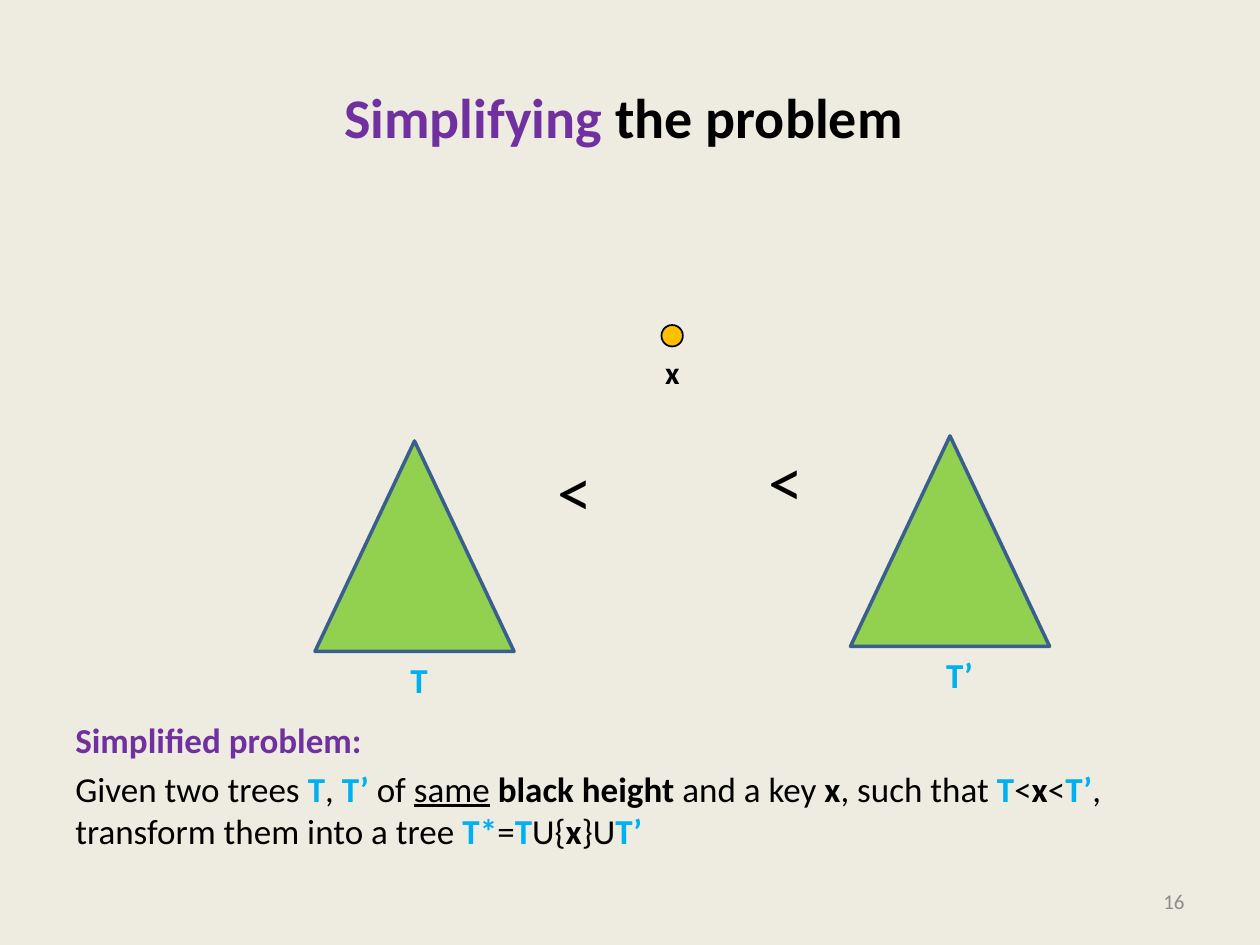
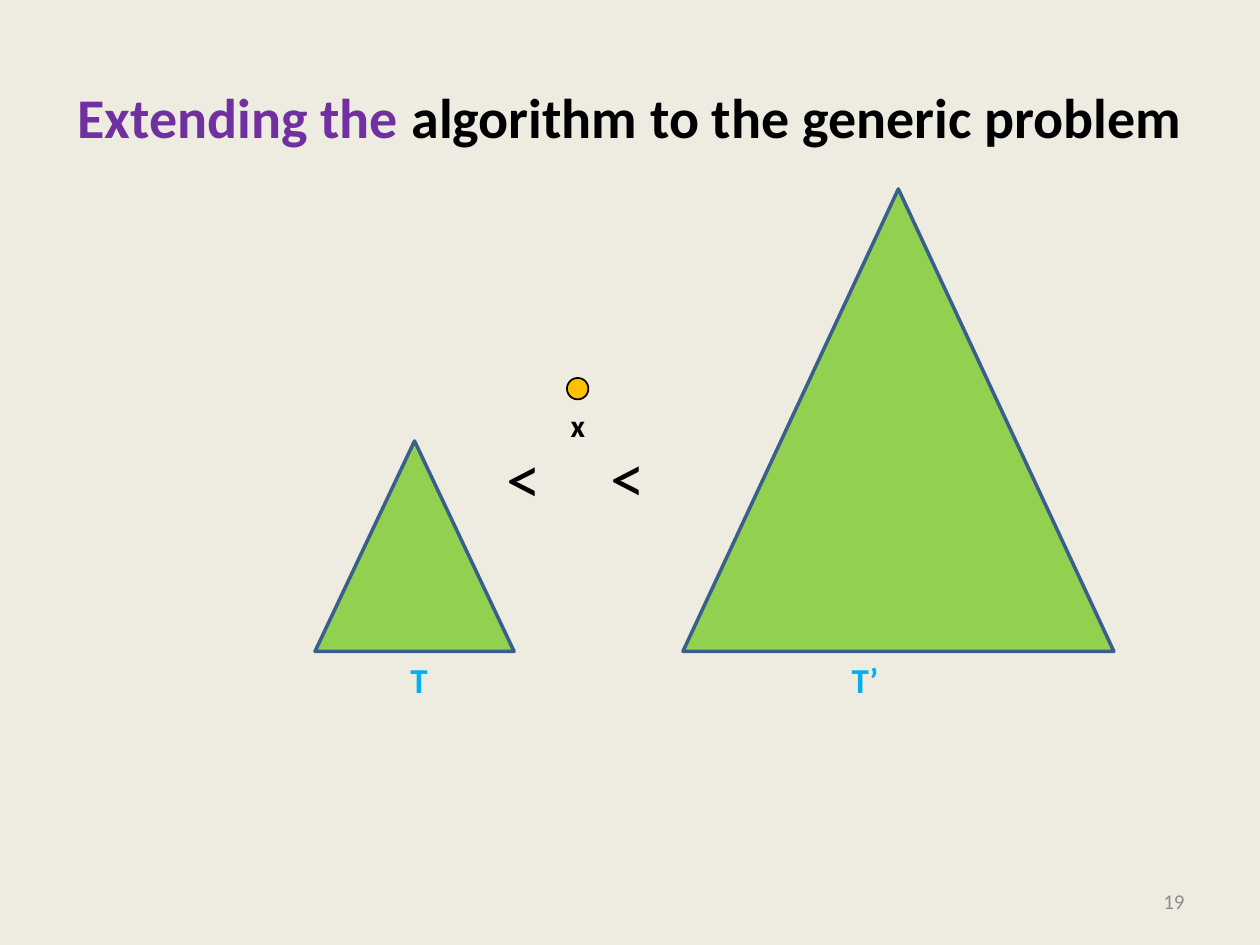
from dataclasses import dataclass

from pptx import Presentation
from pptx import util as u
from pptx.dml.color import RGBColor
from pptx.enum import shapes, text


@dataclass(frozen=True)
class Theme:
    font: str = "Calibri"
    background: str = "EEECE1"
    ink: str = "000000"
    accent: str = "7030A0"
    tree_name: str = "00B0F0"
    tree_fill: str = "92D050"
    tree_edge: str = "3A5F8C"
    key_fill: str = "FFC000"
    page_number: str = "8C8C8C"
    title_size: int = 32
    body_size: int = 20
    key_size: int = 18
    sign_size: int = 40
    page_size: int = 12


THEME = Theme()
TITLE_BOX = (0.5, 0.3, 9, 1.25)
STATEMENT_BOX = (0.5, 5.65, 9, 1.43)
PAGE_BOX = (7.17, 6.95, 2.33, 0.4)
SMALL_TREE = (1.58, 1.67)
LARGE_TREE = (3.42, 3.67)
KEY_DIAMETER = 0.17

ACCENT = {"color": THEME.accent, "bold": True}
NAME = {"color": THEME.tree_name, "bold": True}
BOLD = {"bold": True}


def rgb(value):
    return RGBColor.from_string(value)


def add_text(parts, box, paragraphs, *, size, color=THEME.ink, bold=False,
             align=text.PP_ALIGN.LEFT, anchor=text.MSO_ANCHOR.TOP,
             wrap=True, space_before=0):
    """Write paragraphs, each a string or a list of strings and (string, format) runs."""
    frame = parts.add_textbox(*map(u.Inches, box)).text_frame
    frame.word_wrap = wrap
    frame.vertical_anchor = anchor
    for index, content in enumerate(paragraphs):
        paragraph = frame.paragraphs[0] if index == 0 else frame.add_paragraph()
        paragraph.alignment = align
        if index:
            paragraph.space_before = u.Pt(space_before)
        for piece in [content] if isinstance(content, str) else content:
            words, style = (piece, {}) if isinstance(piece, str) else piece
            run = paragraph.add_run()
            run.text = words
            run.font.name = THEME.font
            run.font.size = u.Pt(size)
            run.font.bold = style.get("bold", bold)
            run.font.underline = style.get("underline", False)
            run.font.color.rgb = rgb(style.get("color", color))


def add_filled(parts, kind, box, fill, edge, edge_width):
    shape = parts.add_shape(kind, *map(u.Inches, box))
    shape.shadow.inherit = False
    shape.fill.solid()
    shape.fill.fore_color.rgb = rgb(fill)
    shape.line.color.rgb = rgb(edge)
    shape.line.width = u.Pt(edge_width)


def add_tree(slide, box, name, label_left, label_width):
    """Draw a tree with its name below; label_left counts from the tree's left."""
    left, top, width, height = box
    parts = slide.shapes.add_group_shape().shapes
    add_filled(parts, shapes.MSO_SHAPE.ISOSCELES_TRIANGLE, box,
               THEME.tree_fill, THEME.tree_edge, 2)
    add_text(parts, (left + label_left, top + height + 0.01, label_width, 0.44),
             [name], size=THEME.body_size, color=THEME.tree_name, bold=True,
             wrap=False)


def add_key(slide, left, top):
    parts = slide.shapes.add_group_shape().shapes
    add_filled(parts, shapes.MSO_SHAPE.OVAL,
               (left, top, KEY_DIAMETER, KEY_DIAMETER),
               THEME.key_fill, THEME.ink, 1)
    add_text(parts, (left - 0.07, top + KEY_DIAMETER, 0.32, 0.4), ["x"],
             size=THEME.key_size, bold=True, wrap=False)


def add_less_than_signs(slide, positions):
    for left, top in positions:
        add_text(slide.shapes, (left, top, 0.48, 0.77), ["<"],
                 size=THEME.sign_size, wrap=False)


def add_framed_slide(deck, title, number):
    """Start a slide with the shared background, title and page number."""
    slide = deck.slides.add_slide(deck.slide_layouts[6])
    slide.background.fill.solid()
    slide.background.fill.fore_color.rgb = rgb(THEME.background)
    add_text(slide.shapes, TITLE_BOX, [title], size=THEME.title_size, bold=True,
             align=text.PP_ALIGN.CENTER, anchor=text.MSO_ANCHOR.MIDDLE)
    add_text(slide.shapes, PAGE_BOX, [str(number)], size=THEME.page_size,
             color=THEME.page_number, align=text.PP_ALIGN.RIGHT,
             anchor=text.MSO_ANCHOR.MIDDLE)
    return slide


def add_statement(slide, box):
    add_text(slide.shapes, box, [
        [("Simplified problem:", ACCENT)],
        ["Given two trees ", ("T", NAME), ", ", ("T’", NAME), " of ",
         ("same", {"underline": True}), " ", ("black height ", BOLD),
         "and a key ", ("x", BOLD), ", such that ", ("T", NAME), "<",
         ("x", BOLD), "<", ("T’", NAME), ", transform them into a tree ",
         ("T*", NAME), "=", ("T", NAME), "U{", ("x", BOLD), "}U", ("T’", NAME)],
    ], size=THEME.body_size, space_before=4)


def add_simplified_problem(deck):
    slide = add_framed_slide(deck, [("Simplifying", ACCENT), " the problem "], 16)
    add_statement(slide, STATEMENT_BOX)
    add_tree(slide, (2.5, 3.5, *SMALL_TREE), "T", 0.66, 0.34)
    add_tree(slide, (6.75, 3.46, *SMALL_TREE), "T’", 0.66, 0.42)
    add_key(slide, 5.25, 2.58)
    add_less_than_signs(slide, [(4.33, 3.5), (6, 3.42)])


def add_generic_problem(deck):
    slide = add_framed_slide(
        deck, [("Extending the ", ACCENT), "algorithm to the generic problem"], 19)
    add_tree(slide, (5.42, 1.5, *LARGE_TREE), "T’", 1.24, 0.42)
    add_tree(slide, (2.5, 3.5, *SMALL_TREE), "T", 0.66, 0.34)
    add_key(slide, 4.5, 3)
    add_less_than_signs(slide, [(3.92, 3.4), (4.75, 3.39)])


def main():
    deck = Presentation()
    deck.slide_width, deck.slide_height = u.Inches(10), u.Inches(7.5)
    add_simplified_problem(deck)
    add_generic_problem(deck)
    deck.save("out.pptx")


if __name__ == "__main__":
    main()
